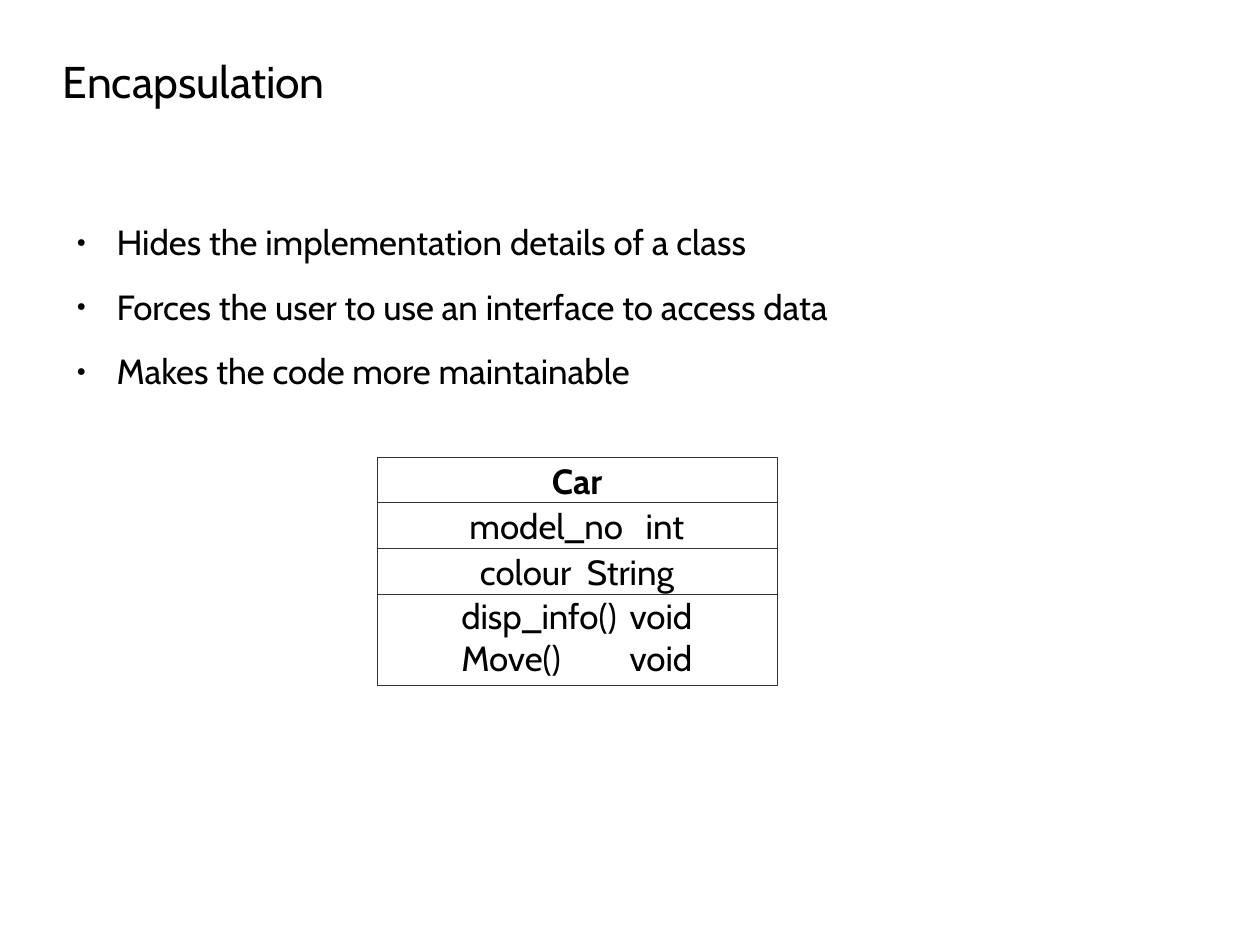
import pptx
import pptx.util
import pptx.dml.color
import pptx.enum.text
import pptx.enum.shapes
import pptx.oxml.ns
import lxml.etree

Pt = pptx.util.Pt
ANCHOR = pptx.enum.text.MSO_ANCHOR
ALIGN = pptx.enum.text.PP_ALIGN
FIT = pptx.enum.text.MSO_AUTO_SIZE
BLACK = pptx.dml.color.RGBColor(0x00, 0x00, 0x00)
WHITE = pptx.dml.color.RGBColor(0xFF, 0xFF, 0xFF)
GREY = pptx.dml.color.RGBColor(0x33, 0x33, 0x33)

POINTS = [
    "Hides the implementation details of a class",
    "Forces the user to use an interface to access data",
    "Makes the code more maintainable",
]
UNIT = 28.8
ROWS = [
    (["Car"], 1, 0, 0),
    (["model_no\tint"], 1, 58.2, 111),
    (["colour\tString"], 1, 64.8, 67.4),
    (["disp_info()\tvoid", "Move()\tvoid"], 2, 53, 106),
]


def format(item, values):
    for name, value in values.items():
        setattr(item, name, value)


def place(item, left, top, width, height):
    format(item, {"left": Pt(left), "top": Pt(top),
                  "width": Pt(width), "height": Pt(height)})


def frame(text, anchor, left=0, bottom=0):
    format(text, {"margin_left": Pt(left), "margin_right": 0,
                  "margin_top": 0, "margin_bottom": Pt(bottom),
                  "vertical_anchor": anchor, "word_wrap": True,
                  "auto_size": FIT.NONE})


def node(base, tag, **values):
    return lxml.etree.SubElement(base, pptx.oxml.ns.qn("a:" + tag), values)


def write(text, lines, size, align=ALIGN.LEFT, bold=False, after=0):
    for count, line in enumerate(lines):
        para = text.add_paragraph() if count else text.paragraphs[0]
        format(para, {"alignment": align, "space_before": Pt(0),
                      "space_after": Pt(after)})
        run = para.add_run()
        run.text = line
        format(run.font, {"name": "Cabin", "size": Pt(size), "bold": bold})
        run.font.color.rgb = BLACK


def bullet(para):
    props = para._p.get_or_add_pPr()
    props.set("marL", str(Pt(33.84)))
    props.set("indent", str(Pt(-25.2)))
    node(node(props, "buClr"), "srgbClr", val=str(BLACK))
    node(props, "buSzPct", val="45000")
    node(props, "buChar", char="●")


def stop(para, gap):
    tabs = node(para._p.get_or_add_pPr(), "tabLst")
    node(tabs, "tab", pos=str(Pt(gap)), algn="l")


def title(slide):
    head = slide.shapes.title
    place(head, 39.6, 1, 714.24, 99.36)
    frame(head.text_frame, ANCHOR.MIDDLE)
    write(head.text_frame, ["Encapsulation"], 28)


def body(slide):
    box = slide.placeholders[1]
    place(box, 39.6, 139.2, 714.24, 345.6)
    frame(box.text_frame, ANCHOR.TOP)
    write(box.text_frame, POINTS, 22, after=14.2)
    for para in box.text_frame.paragraphs:
        bullet(para)


def row(slide, top, lines, units, left, gap):
    box = slide.shapes.add_shape(
        pptx.enum.shapes.MSO_SHAPE.RECTANGLE,
        Pt(237.6), Pt(top), Pt(252), Pt(units * UNIT))
    box.shadow.inherit = False
    box.fill.solid()
    box.fill.fore_color.rgb = WHITE
    box.line.color.rgb = GREY
    box.line.width = Pt(0)
    text = box.text_frame
    frame(text, ANCHOR.MIDDLE, left, 4.8 if units > 1 else 0)
    write(text, lines, 22, ALIGN.LEFT if gap else ALIGN.CENTER, not gap)
    if gap:
        for para in text.paragraphs:
            stop(para, gap)


def main():
    deck = pptx.Presentation()
    format(deck, {"slide_width": Pt(793.75), "slide_height": Pt(595.25)})
    slide = deck.slides.add_slide(deck.slide_layouts[1])
    title(slide)
    body(slide)
    top = 288
    for lines, units, left, gap in ROWS:
        row(slide, top, lines, units, left, gap)
        top += units * UNIT
    deck.save("out.pptx")


if __name__ == "__main__":
    main()
